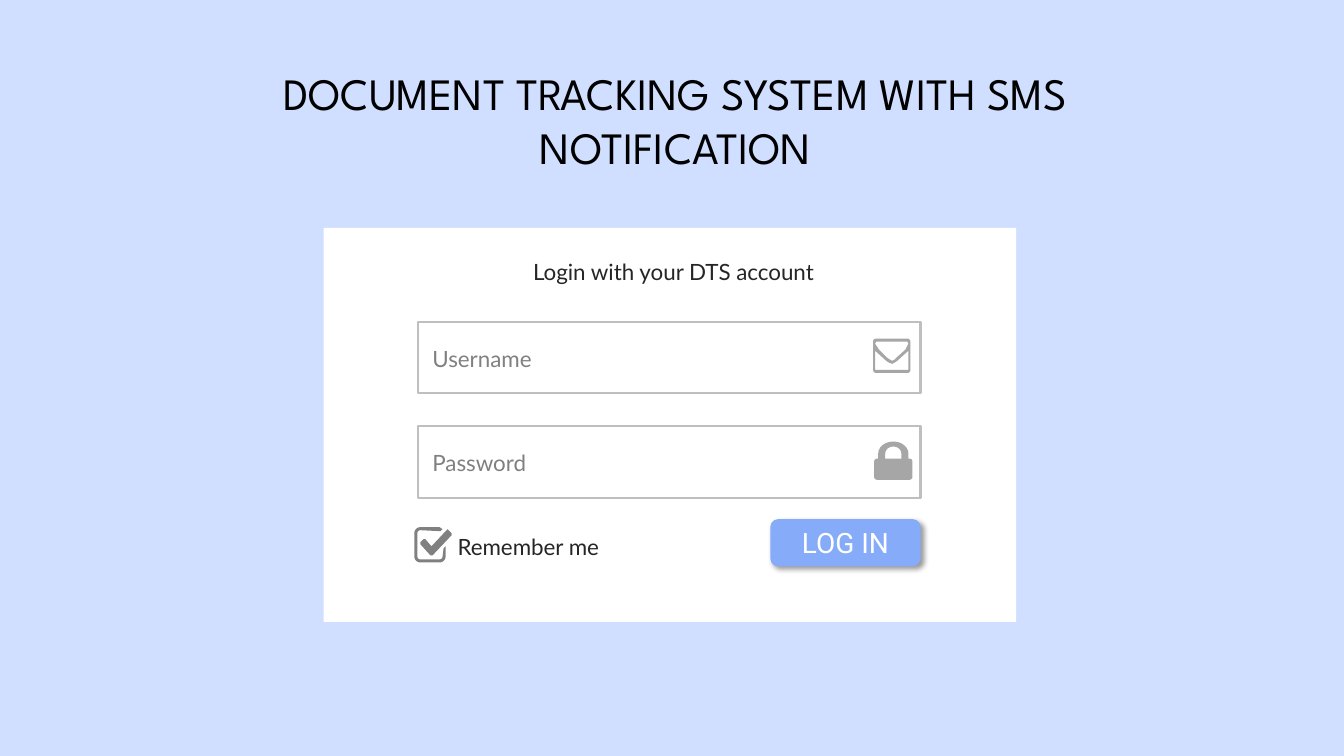
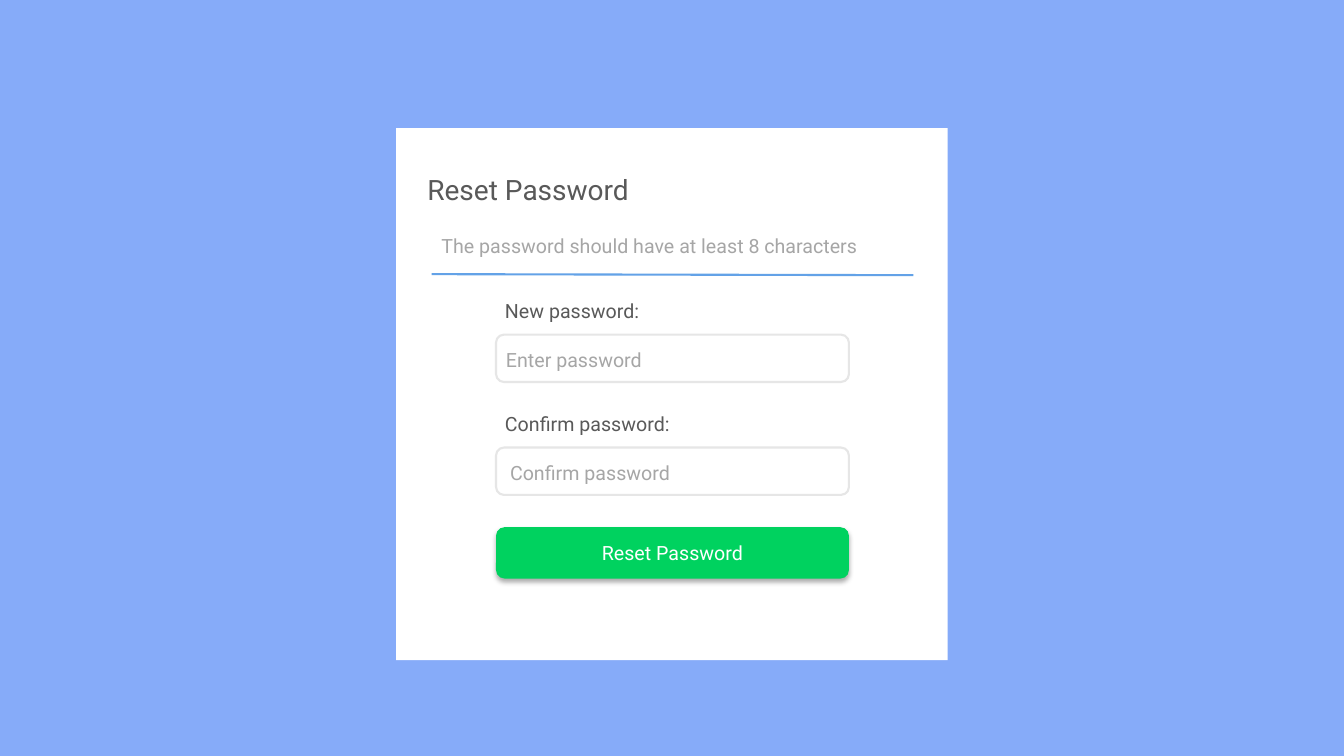
"""Build the login and password reset screens of a document tracking system."""
import math

import lxml.etree
import pptx
import pptx.dml.color
import pptx.enum.shapes
import pptx.enum.text
import pptx.oxml.ns
import pptx.util

Inches = pptx.util.Inches
Pt = pptx.util.Pt
SHAPES = pptx.enum.shapes.MSO_SHAPE
ALIGN = pptx.enum.text.PP_ALIGN

COLORS = {
    "pale": "D0DFFF", "blue": "86ABF9", "white": "FFFFFF", "black": "000000",
    "ink": "262626", "label": "595959", "gray": "808080", "hint": "A6A6A6",
    "border": "BFBFBF", "soft_border": "E6E6E6", "green": "00D25F", "rule": "63A2E7",
}
TITLE_FONT, LOGIN_FONT, RESET_FONT = "League Spartan", "Lato", "Roboto"


def rgb(name):
    return pptx.dml.color.RGBColor.from_string(COLORS[name])


def add_screen(deck, background):
    slide = deck.slides.add_slide(deck.slide_layouts[6])
    slide.background.fill.solid()
    slide.background.fill.fore_color.rgb = rgb(background)
    return slide


def write(frame, text, size, font, color, align):
    frame.word_wrap = True
    paragraph = frame.paragraphs[0]
    paragraph.text = text
    paragraph.alignment = align
    style = paragraph.runs[0].font
    style.size, style.name = Pt(size), font
    style.color.rgb = rgb(color)


def add_label(slide, box, text, size, font, color, align=ALIGN.LEFT):
    label = slide.shapes.add_textbox(*map(Inches, box))
    write(label.text_frame, text, size, font, color, align)
    label.text_frame.auto_size = pptx.enum.text.MSO_AUTO_SIZE.SHAPE_TO_FIT_TEXT


def paint(shape, fill=None, border=None):
    shape.shadow.inherit = False
    if fill:
        shape.fill.solid()
        shape.fill.fore_color.rgb = rgb(fill)
    else:
        shape.fill.background()
    if border:
        shape.line.color.rgb = rgb(border)
        shape.line.width = Pt(1.5)
    else:
        shape.line.fill.background()


def add_box(slide, box, fill=None, border=None, kind=SHAPES.RECTANGLE):
    panel = slide.shapes.add_shape(kind, *map(Inches, box))
    paint(panel, fill, border)
    return panel


def add_button(slide, box, text, size, fill, opacity, blur, distance, angle):
    button = add_box(slide, box, fill, kind=SHAPES.ROUNDED_RECTANGLE)
    button.text_frame.vertical_anchor = pptx.enum.text.MSO_ANCHOR.MIDDLE
    write(button.text_frame, text, size, RESET_FONT, "white", ALIGN.CENTER)
    qn = pptx.oxml.ns.qn
    effects = button._element.spPr.find(qn("a:effectLst"))
    shadow = lxml.etree.SubElement(
        effects, qn("a:outerShdw"), blurRad=str(Pt(blur)), dist=str(Pt(distance)),
        dir=str(angle * 60000), algn="ctr", rotWithShape="0")
    tint = lxml.etree.SubElement(shadow, qn("a:srgbClr"), val=COLORS["black"])
    lxml.etree.SubElement(tint, qn("a:alpha"), val=str(opacity * 1000))


def add_rule(slide, start, end, color):
    rule = slide.shapes.add_connector(
        pptx.enum.shapes.MSO_CONNECTOR.STRAIGHT, *map(Inches, start + end))
    rule.line.color.rgb = rgb(color)
    rule.line.width = Pt(1.5)
    lxml.etree.SubElement(rule._element.spPr, pptx.oxml.ns.qn("a:effectLst"))


def arc(center, radii, start, end, steps=12):
    angles = [math.radians(start + (end - start) * i / steps) for i in range(steps + 1)]
    return [(center[0] + radii[0] * math.cos(a), center[1] + radii[1] * math.sin(a))
            for a in angles]


def rounded_outline(left, top, width, height, radius):
    near_x, far_x = left + radius, left + width - radius
    near_y, far_y = top + radius, top + height - radius
    corners = [(far_x, far_y), (near_x, far_y), (near_x, near_y), (far_x, near_y)]
    return [point for i, corner in enumerate(corners)
            for point in arc(corner, (radius, radius), 90 * i, 90 * i + 90)]


def add_icon(slide, outlines, fill):
    outlines = [[(Inches(x), Inches(y)) for x, y in outline] for outline in outlines]
    builder = slide.shapes.build_freeform(*outlines[0][0], scale=1.0)
    for i, outline in enumerate(outlines):
        if i:
            builder.move_to(*outline[0])
        builder.add_line_segments(outline[1:], close=True)
    paint(builder.convert_to_shape(), fill)


def add_envelope(slide):
    flap = [(8.69, 3.39), (9, 3.39), (9.01, 3.41), (8.98, 3.47), (8.89, 3.55), (8.87, 3.57),
            (8.85, 3.58), (8.83, 3.57), (8.8, 3.55), (8.72, 3.47), (8.68, 3.41)]
    body = [(8.68, 3.48), (8.79, 3.58), (8.82, 3.6), (8.85, 3.61), (8.87, 3.6),
            (8.9, 3.58), (9.01, 3.48), (9.01, 3.67), (8.68, 3.67)]
    add_icon(slide, [rounded_outline(8.66, 3.36, 0.37, 0.34, 0.03), flap, body], "hint")


def add_padlock(slide):
    center = (8.86, 4.5)
    shackle = ([(8.71, 4.55)] + arc(center, (0.15, 0.12), 180, 360)
               + [(9.01, 4.55), (8.94, 4.55)] + arc(center, (0.08, 0.07), 360, 180)
               + [(8.78, 4.55)])
    add_icon(slide, [rounded_outline(8.67, 4.55, 0.38, 0.21, 0.03), shackle], "hint")


def add_checkbox(slide):
    tick = [(4.44, 5.25), (4.48, 5.29), (4.48, 5.31), (4.29, 5.51), (4.27, 5.51),
            (4.17, 5.4), (4.17, 5.38), (4.2, 5.35), (4.22, 5.35), (4.28, 5.42), (4.43, 5.26)]
    corners = [((4.17, 5.29), 270), ((4.17, 5.52), 180), ((4.36, 5.52), 90)]
    outer = [p for c, a in corners for p in arc(c, (0.06, 0.06), a, a - 90)]
    inner = [p for c, a in reversed(corners) for p in arc(c, (0.03, 0.03), a - 90, a)]
    frame = ([(4.39, 5.25), (4.36, 5.23)] + outer + [(4.42, 5.42), (4.4, 5.44)]
             + inner + [(4.37, 5.27)])
    add_icon(slide, [tick, frame], "gray")


def build_login(deck):
    slide = add_screen(deck, "pale")
    add_box(slide, (3.21, 2.26, 6.87, 3.91), "white")
    add_label(slide, (1.89, 0.6, 9.62, 1.18), "DOCUMENT TRACKING SYSTEM WITH SMS NOTIFICATION",
              32, TITLE_FONT, "black", ALIGN.CENTER)
    add_label(slide, (4.77, 2.51, 3.82, 0.37), "Login with your DTS account",
              16, LOGIN_FONT, "ink", ALIGN.CENTER)
    for top, hint in ((3.19, "Username"), (4.23, "Password")):
        add_box(slide, (4.15, top, 4.98, 0.71), "white", "border")
        add_label(slide, (4.19, top + 0.18, 1.39, 0.37), hint, 16, LOGIN_FONT, "gray")
    add_label(slide, (4.44, 5.24, 1.69, 0.37), "Remember me", 16, LOGIN_FONT, "ink")
    add_button(slide, (7.64, 5.15, 1.49, 0.47), "LOG IN", 20, "blue",
               opacity=40, blur=4, distance=3, angle=45)
    add_envelope(slide)
    add_padlock(slide)
    add_checkbox(slide)


def build_reset(deck):
    slide = add_screen(deck, "blue")
    add_box(slide, (3.93, 1.27, 5.47, 5.28), "white")
    add_label(slide, (4.14, 1.66, 3.82, 0.44), "Reset Password", 20, RESET_FONT, "label")
    add_label(slide, (4.28, 2.27, 4.59, 0.34), "The password should have at least 8 characters",
              14, RESET_FONT, "hint")
    add_rule(slide, (4.28, 2.72), (9.06, 2.73), "rule")
    fields = ((2.92, "New password:", 4.92, "Enter password"),
              (4.04, "Confirm password:", 4.96, "Confirm password"))
    for top, name, hint_left, hint in fields:
        add_label(slide, (4.91, top, 4.59, 0.34), name, 14, RESET_FONT, "label")
        add_box(slide, (4.92, top + 0.4, 3.5, 0.47), border="soft_border",
                kind=SHAPES.ROUNDED_RECTANGLE)
        add_label(slide, (hint_left, top + 0.48, 2.01, 0.34), hint, 14, RESET_FONT, "hint")
    add_button(slide, (4.92, 5.23, 3.5, 0.51), "Reset Password", 14, "green",
               opacity=32, blur=3.5, distance=2.2, angle=90)


def main():
    deck = pptx.Presentation()
    deck.slide_width, deck.slide_height = Inches(13.33), Inches(7.5)
    build_login(deck)
    build_reset(deck)
    deck.save("out.pptx")


if __name__ == "__main__":
    main()
